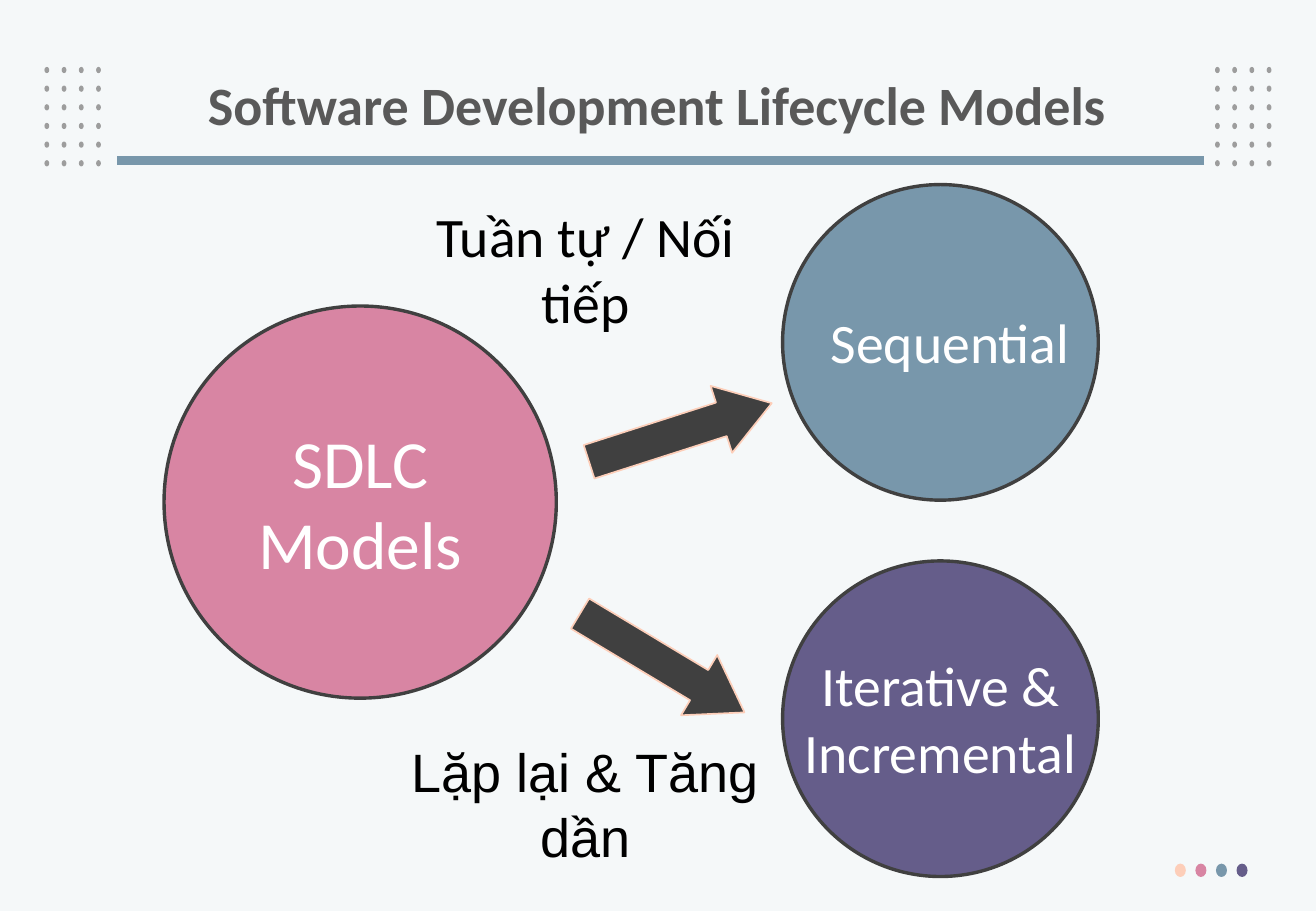
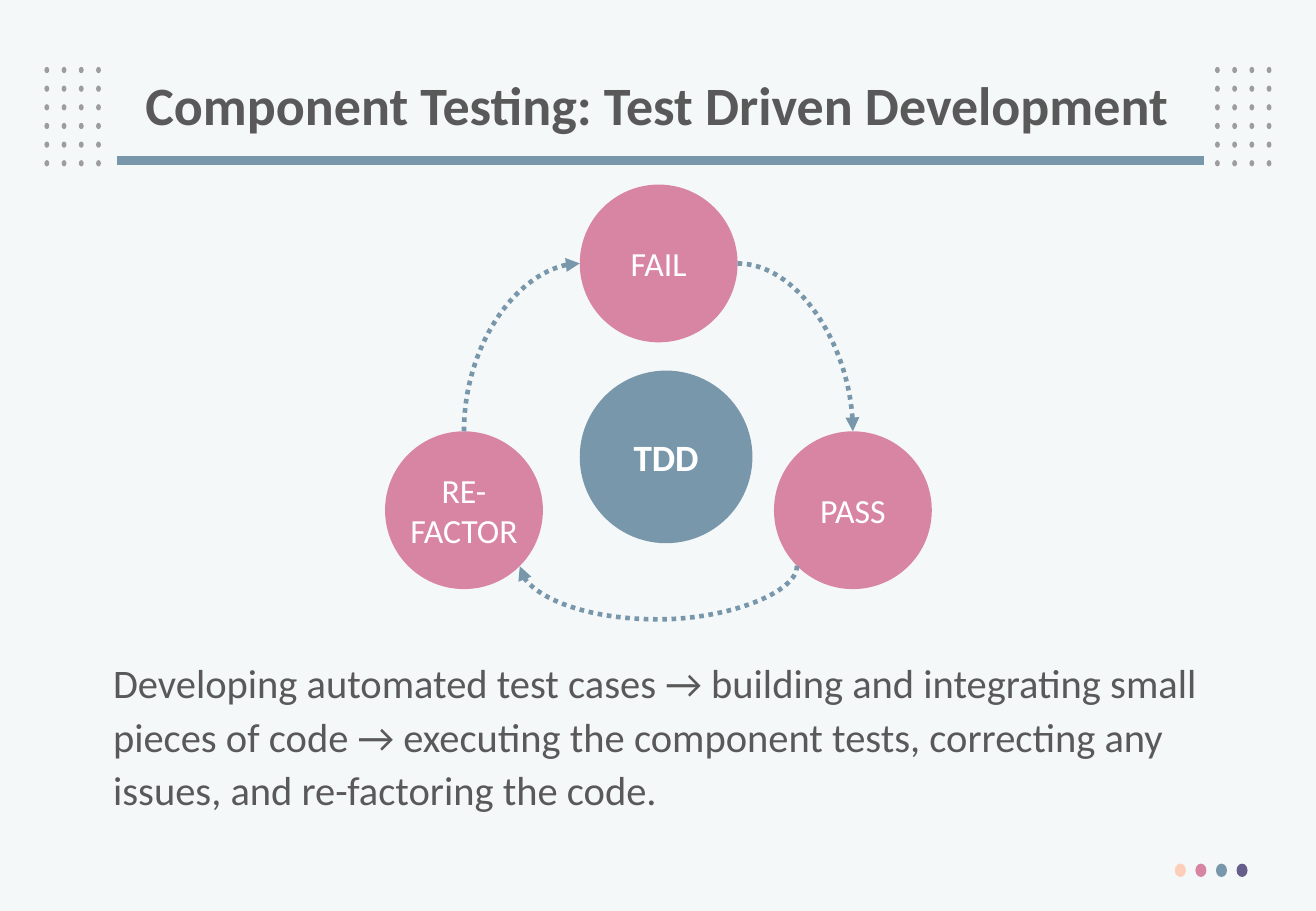
import math

import pptx
import pptx.dml.color
import pptx.enum.dml
import pptx.enum.shapes
import pptx.enum.text
import pptx.oxml
import pptx.oxml.ns
import pptx.util
from pptx.util import Cm

COLORS = {
    "background": "F5F8F9", "grid": "9D9D9D", "text": "595959", "dark": "404040",
    "black": "000000", "white": "FFFFFF", "peach": "FDCEB9", "pink": "D885A3",
    "blue": "7897AB", "purple": "655D8A",
}
CENTER = pptx.enum.text.PP_ALIGN.CENTER
MIDDLE = pptx.enum.text.MSO_ANCHOR.MIDDLE
SHAPES = pptx.enum.shapes.MSO_SHAPE
CONNECTORS = pptx.enum.shapes.MSO_CONNECTOR
TITLE_ONLY, TITLE_AND_BODY = 5, 1
qn = pptx.oxml.ns.qn


def color(name):
    return pptx.dml.color.RGBColor.from_string(COLORS[name])


def apply(target, values):
    for name, value in values.items():
        setattr(target, name, value)


def add_xml(parent, tag, **attributes):
    child = parent.makeelement(qn(tag), attributes)
    parent.append(child)
    return child


def ellipse_site(shape, site):
    """Point of one of the eight connection sites, counted from the top leftwards."""
    angle = math.radians(90 + 45 * site)
    return (shape.left + shape.width / 2 * (1 + math.cos(angle)),
            shape.top + shape.height / 2 * (1 - math.sin(angle)))


class Deck:
    def __init__(self):
        self.presentation = pptx.Presentation()
        apply(self.presentation, {"slide_width": Cm(27.51), "slide_height": Cm(19.05)})
        self.slide = None

    def new_slide(self, title, layout):
        first = self.slide is None
        self.slide = self.presentation.slides.add_slide(self.presentation.slide_layouts[layout])
        if first:
            self.dress_master()
        shape = self.slide.shapes.title
        self.place(shape, 1.88, 1.02, 23.72, 2.49)
        shape.text_frame.vertical_anchor = MIDDLE
        self.fill_text(shape, title, 32, "text", {"alignment": CENTER, "line_spacing": 0.9},
                       bold=True)

    def dress_master(self):
        """Draw the shared decoration and move it to the slide master."""
        master = self.presentation.slide_master
        master.background.fill.solid()
        master.background.fill.fore_color.rgb = color("background")
        grid = self.slide.shapes.add_group_shape()
        for left in (0.93, 25.4):
            for row in range(6):
                for column in range(4):
                    self.shape(SHAPES.OVAL, left + 0.36 * column, 1.4 + 0.39 * row,
                               0.1, 0.13, "grid", parent=grid)
        rule = self.line(CONNECTORS.STRAIGHT, Cm(25.17), Cm(3.35), Cm(2.44), Cm(3.35), 5.25)
        dots = self.slide.shapes.add_group_shape()
        for column, fill in enumerate(("peach", "pink", "blue", "purple")):
            self.shape(SHAPES.OVAL, 24.56 + 0.43 * column, 18.06, 0.23, 0.28, fill, parent=dots)
        tree = master.shapes.element
        for shape in (grid, rule, dots):
            tree.append(shape.element)
        for number, properties in enumerate(tree.iter(qn("p:cNvPr")), 1):
            properties.set("id", str(number))

    def place(self, shape, left, top, width, height):
        apply(shape, {"left": Cm(left), "top": Cm(top), "width": Cm(width), "height": Cm(height)})

    def fill_text(self, shape, text, size, ink, layout, font="Calibri", bold=False):
        paragraph = shape.text_frame.paragraphs[0]
        apply(paragraph, layout)
        run = paragraph.add_run()
        run.text = text
        apply(run.font, {"name": font, "size": pptx.util.Pt(size), "bold": bold})
        run.font.color.rgb = color(ink)
        return paragraph

    def shape(self, kind, left, top, width, height, fill, border=None, weight=1, parent=None):
        shape = (parent or self.slide).shapes.add_shape(
            kind, Cm(left), Cm(top), Cm(width), Cm(height))
        shape.shadow.inherit = False
        shape.fill.solid()
        shape.fill.fore_color.rgb = color(fill)
        if border:
            shape.line.color.rgb = color(border)
            shape.line.width = pptx.util.Pt(weight)
        else:
            shape.line.fill.background()
        return shape

    def circle(self, left, top, size, fill, text="", points=20, border=None, bold=False, insets=None):
        shape = self.shape(SHAPES.OVAL, left, top, size, size, fill, border, 2)
        apply(shape.text_frame, {"vertical_anchor": MIDDLE, "word_wrap": True, **(insets or {})})
        if text:
            self.fill_text(shape, text, points, "white", {"alignment": CENTER}, bold=bold)
        return shape

    def block_arrow(self, left, top, rotation):
        shape = self.shape(SHAPES.RIGHT_ARROW, left, top, 4.01, 1.47, "dark", "peach")
        shape.adjustments[1] = 0.752
        shape.rotation = rotation

    def label(self, left, top, height, text, ink, size=33, font="Calibri"):
        shape = self.slide.shapes.add_textbox(Cm(left), Cm(top), Cm(7.82), Cm(height))
        apply(shape.text_frame, {"word_wrap": True,
                                 "auto_size": pptx.enum.text.MSO_AUTO_SIZE.SHAPE_TO_FIT_TEXT})
        self.fill_text(shape, text, size, ink, {"alignment": CENTER}, font)

    def body(self, text):
        shape = self.slide.placeholders[1]
        self.place(shape, 2.11, 13.54, 23.52, 3.61)
        paragraph = self.fill_text(shape, text, 24, "text",
                                   {"line_spacing": 1.1, "space_before": pptx.util.Pt(8.1)})
        properties = paragraph._p.get_or_add_pPr()
        for name in ("marL", "indent"):
            properties.set(name, "0")
        add_xml(properties, "a:buNone")

    def line(self, kind, x1, y1, x2, y2, weight):
        connector = self.slide.shapes.add_connector(kind, int(x1), int(y1), int(x2), int(y2))
        connector.line.color.rgb = color("blue")
        connector.line.width = pptx.util.Pt(weight)
        add_xml(connector.element.spPr, "a:effectLst")
        return connector

    def curved_arrow(self, start, start_site, end, end_site, turned=False, flipped=False, sag=None):
        """Join two circles; sag (cm) makes the curve hang below both ends."""
        x1, y1 = ellipse_site(start, start_site)
        x2, y2 = ellipse_site(end, end_site)
        width, height = abs(x2 - x1), max(abs(y2 - y1), Cm(0.01))
        if turned:
            width, height = height, width
        left, top = (x1 + x2 - width) / 2, (y1 + y2 - height) / 2
        connector = self.line(CONNECTORS.CURVE, left, top, left + width, top + height, 2.75)
        connector.line.dash_style = pptx.enum.dml.MSO_LINE.ROUND_DOT
        add_xml(connector.get_or_add_ln(), "a:tailEnd", type="triangle")

        # Preset outline, turned to leave and enter the circles
        element = connector.element
        geometry = element.spPr.find(qn("a:prstGeom"))
        geometry.set("prst", "curvedConnector3" if sag else "curvedConnector2")
        if sag:
            guides = geometry.find(qn("a:avLst"))
            if guides is None:
                guides = add_xml(geometry, "a:avLst")
            bend = round(100000 * Cm(sag) / width)
            add_xml(guides, "a:gd", name="adj1", fmla=f"val {bend}")
        frame = element.spPr.find(qn("a:xfrm"))
        if turned:
            frame.set("rot", "5400000")
        if flipped:
            frame.set("flipH", "1")
            frame.set("flipV", "1")

        # Circles have eight sites, so the joints are set directly
        joints = next(element.iter(qn("p:cNvCxnSpPr")))
        for tag, shape, site in (("a:stCxn", start, start_site), ("a:endCxn", end, end_site)):
            add_xml(joints, tag, id=str(shape.shape_id), idx=str(site))


def lifecycle_models(deck):
    deck.new_slide("Software Development Lifecycle Models", TITLE_ONLY)
    deck.circle(3.43, 6.4, 8.2, "pink", "SDLC Models", 40, "dark")
    deck.circle(16.36, 3.86, 6.6, "blue", border="dark")
    deck.circle(16.36, 11.73, 6.6, "purple", border="dark")
    deck.block_arrow(12.22, 8.31, 342.2)
    deck.block_arrow(11.84, 13.13, 31)
    deck.label(15.95, 6.32, 1.68, "Sequential", "white")
    deck.label(15.75, 13.49, 3.07, "Iterative & Incremental", "white")
    deck.label(8.33, 4.09, 3.07, "Tuần tự / Nối tiếp", "black")
    deck.label(8.33, 15.32, 3, "Lặp lại & Tăng dần", "black", 32, "Arial")


def test_driven_development(deck):
    deck.new_slide("Component Testing: Test Driven Development", TITLE_AND_BODY)
    deck.body("Developing automated test cases → building and integrating small pieces of code "
              "→ executing the component tests, correcting any issues, and re-factoring the code.")

    # Cycle of three steps around the centre
    insets = {"margin_left": 0, "margin_right": 0, "margin_top": Cm(0.1), "margin_bottom": Cm(0.1)}
    fail, passed, refactor = [
        deck.circle(left, top, 3.3, "pink", text, insets=insets)
        for left, top, text in ((12.12, 3.86, "FAIL"), (16.18, 9.02, "PASS"),
                                (8.05, 9.02, "RE-FACTOR"))]
    deck.circle(12.12, 7.75, 3.61, "blue", "TDD", 22, bold=True, insets=insets)
    deck.curved_arrow(fail, 6, passed, 0)
    deck.curved_arrow(passed, 3, refactor, 5, turned=True, sag=1.12)
    deck.curved_arrow(refactor, 0, fail, 2, turned=True, flipped=True)


def main():
    deck = Deck()
    lifecycle_models(deck)
    test_driven_development(deck)
    deck.presentation.save("out.pptx")


if __name__ == "__main__":
    main()
